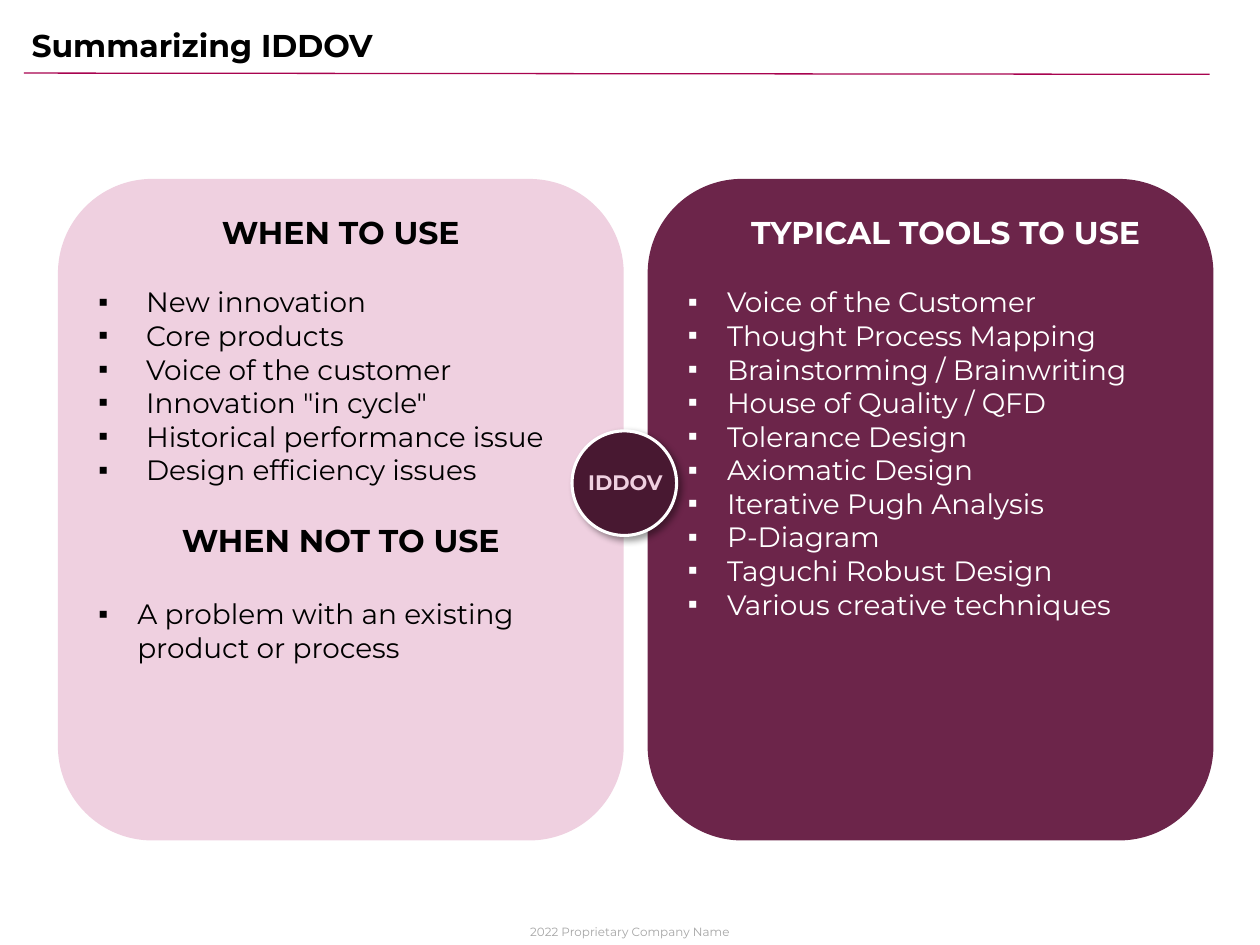
"""Build the IDDOV summary slide: two list panels joined by a badge."""
from lxml import etree
from pptx import Presentation
from pptx.dml.color import RGBColor
from pptx.enum.shapes import MSO_CONNECTOR, MSO_SHAPE
from pptx.enum.text import MSO_ANCHOR, MSO_AUTO_SIZE, PP_ALIGN
from pptx.oxml.ns import qn
from pptx.util import Inches, Pt

ROUNDED, OVAL = MSO_SHAPE.ROUNDED_RECTANGLE, MSO_SHAPE.OVAL
STRAIGHT = MSO_CONNECTOR.STRAIGHT
LEFT, CENTER = PP_ALIGN.LEFT, PP_ALIGN.CENTER
TOP, MIDDLE = MSO_ANCHOR.TOP, MSO_ANCHOR.MIDDLE
NO_FIT = MSO_AUTO_SIZE.NONE

THEME = {
    "font": "Montserrat",
    "black": RGBColor.from_string("000000"),
    "white": RGBColor.from_string("FFFFFF"),
    "pink": RGBColor.from_string("EFD0E0"),
    "plum": RGBColor.from_string("6C254A"),
    "badge": RGBColor.from_string("481831"),
    "rule": RGBColor.from_string("A8034F"),
    "grey": RGBColor.from_string("A6A6A6"),
    "heading": 18,
    "list": 16,
    "label": 12,
    "footer": 6.8,
}


def write(p, text, size, color, bold=False, align=LEFT):
    p.text = text
    p.alignment = align
    p.space_before = Pt(0)
    font = p.runs[0].font
    font.name, font.size, font.bold = THEME["font"], Pt(THEME[size]), bold
    font.color.rgb = THEME[color]


def set_indent(p, margin, hanging, bullet=None):
    pPr = p._p.get_or_add_pPr()
    pPr.set("marL", str(Inches(margin)))
    pPr.set("indent", str(-Inches(hanging)))
    if bullet:
        etree.SubElement(pPr, qn("a:buChar")).set("char", bullet)
    else:
        etree.SubElement(pPr, qn("a:buNone"))


PANEL_TOP, PANEL_W, PANEL_H = 1.42, 4.49, 5.25
PANELS = [
    (0.46, "pink", "black", [
        ("WHEN TO USE", 0, 19.5, 0.38, [
            "New innovation", "Core products", "Voice of the customer",
            'Innovation "in cycle"', "Historical performance issue",
            "Design efficiency issues"]),
        ("WHEN NOT TO USE", 0, 22, 0.31, [
            "A problem with an existing product or process"]),
    ]),
    (5.14, "plum", "white", [
        ("TYPICAL TOOLS TO USE", 0.24, 19.5, 0.31, [
            "Voice of the Customer", "Thought Process Mapping",
            "Brainstorming / Brainwriting", "House of Quality / QFD",
            "Tolerance Design", "Axiomatic Design", "Iterative Pugh Analysis",
            "P-Diagram", "Taguchi Robust Design",
            "Various creative techniques"]),
    ]),
]

prs = Presentation()
prs.slide_width, prs.slide_height = Inches(10), Inches(7.5)
slide = prs.slides.add_slide(prs.slide_layouts[3])
shapes = slide.shapes

title = shapes.title
title.left, title.top = Inches(0.15), Inches(0.16)
title.width, title.height = Inches(9.73), Inches(0.4)
title.text_frame.auto_size = NO_FIT
title.text_frame.vertical_anchor = MIDDLE
write(title.text_frame.paragraphs[0], "Summarizing IDDOV", "heading", "black", True)

rule = shapes.add_connector(STRAIGHT, Inches(0.19), Inches(0.58), Inches(9.6), Inches(0.59))
rule.line.color.rgb, rule.line.width = THEME["rule"], Pt(0.75)
etree.SubElement(rule._element.spPr, qn("a:effectLst"))

for i, (left, fill, color, sections) in enumerate(PANELS):
    box = Inches(left), Inches(PANEL_TOP), Inches(PANEL_W), Inches(PANEL_H)
    panel = shapes.add_shape(ROUNDED, *box)
    panel.shadow.inherit = False
    panel.fill.solid()
    panel.fill.fore_color.rgb = THEME[fill]
    panel.line.fill.background()

    body = slide.placeholders[i + 1]
    body.left, body.top, body.width, body.height = box
    shapes._spTree.append(body._element)
    tf = body.text_frame
    tf.auto_size, tf.vertical_anchor, tf.word_wrap = NO_FIT, TOP, True
    tf.margin_left = tf.margin_right = Inches(0.32)
    tf.margin_top = tf.margin_bottom = Inches(0.27)
    p = tf.paragraphs[0]
    for n, (heading, shift, gap, hanging, items) in enumerate(sections):
        if n:
            p.space_after = Pt(19.5)
            p = tf.add_paragraph()
        write(p, heading, "heading", color, True, CENTER)
        p.space_after = Pt(gap)
        set_indent(p, shift, 0)
        for item in items:
            p = tf.add_paragraph()
            write(p, item, "list", color)
            set_indent(p, hanging, hanging, "▪")

badge = shapes.add_shape(OVAL, Inches(4.54), Inches(3.42), Inches(0.83), Inches(0.83))
badge.fill.solid()
badge.fill.fore_color.rgb = THEME["badge"]
badge.line.color.rgb, badge.line.width = THEME["white"], Pt(1.75)
badge.shadow.inherit = False
effects = badge._element.spPr.find(qn("a:effectLst"))
shadow = etree.SubElement(effects, qn("a:outerShdw"), blurRad=str(Pt(4)),
                          dist=str(Pt(3)), dir="2700000", algn="tl", rotWithShape="0")
shade = etree.SubElement(shadow, qn("a:srgbClr"), val=str(THEME["black"]))
etree.SubElement(shade, qn("a:alpha"), val="40000")

LABELS = [
    ((4.57, 3.68, 0.8, 0.3), "IDDOV", "label", "pink", True, LEFT),
    ((3.88, 7.29, 2.24, 0.21), "2022 Proprietary Company Name",
     "footer", "grey", False, CENTER),
]
for box, text, size, color, bold, align in LABELS:
    label = shapes.add_textbox(*map(Inches, box))
    label.text_frame.word_wrap = False
    write(label.text_frame.paragraphs[0], text, size, color, bold, align)

prs.save("out.pptx")
